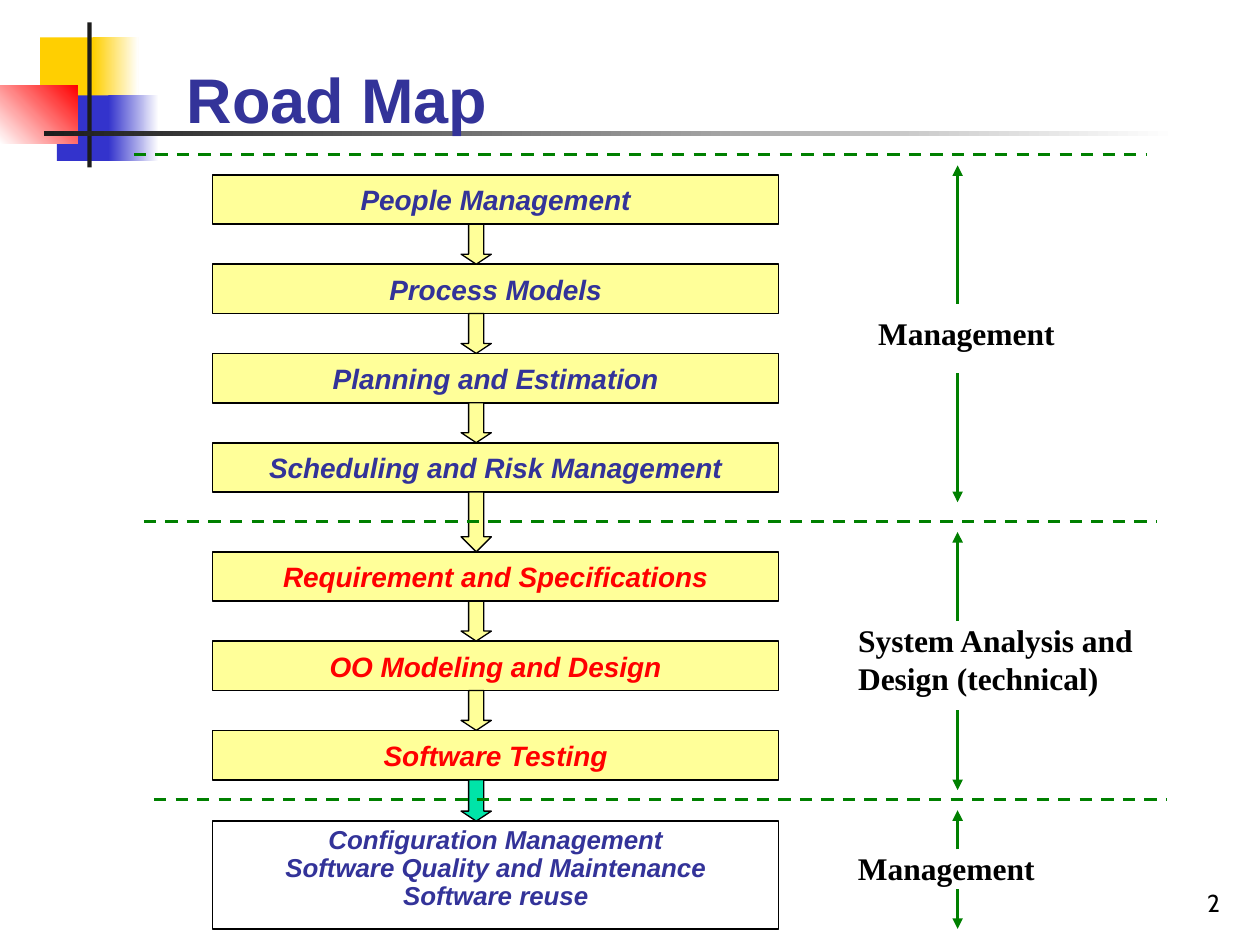
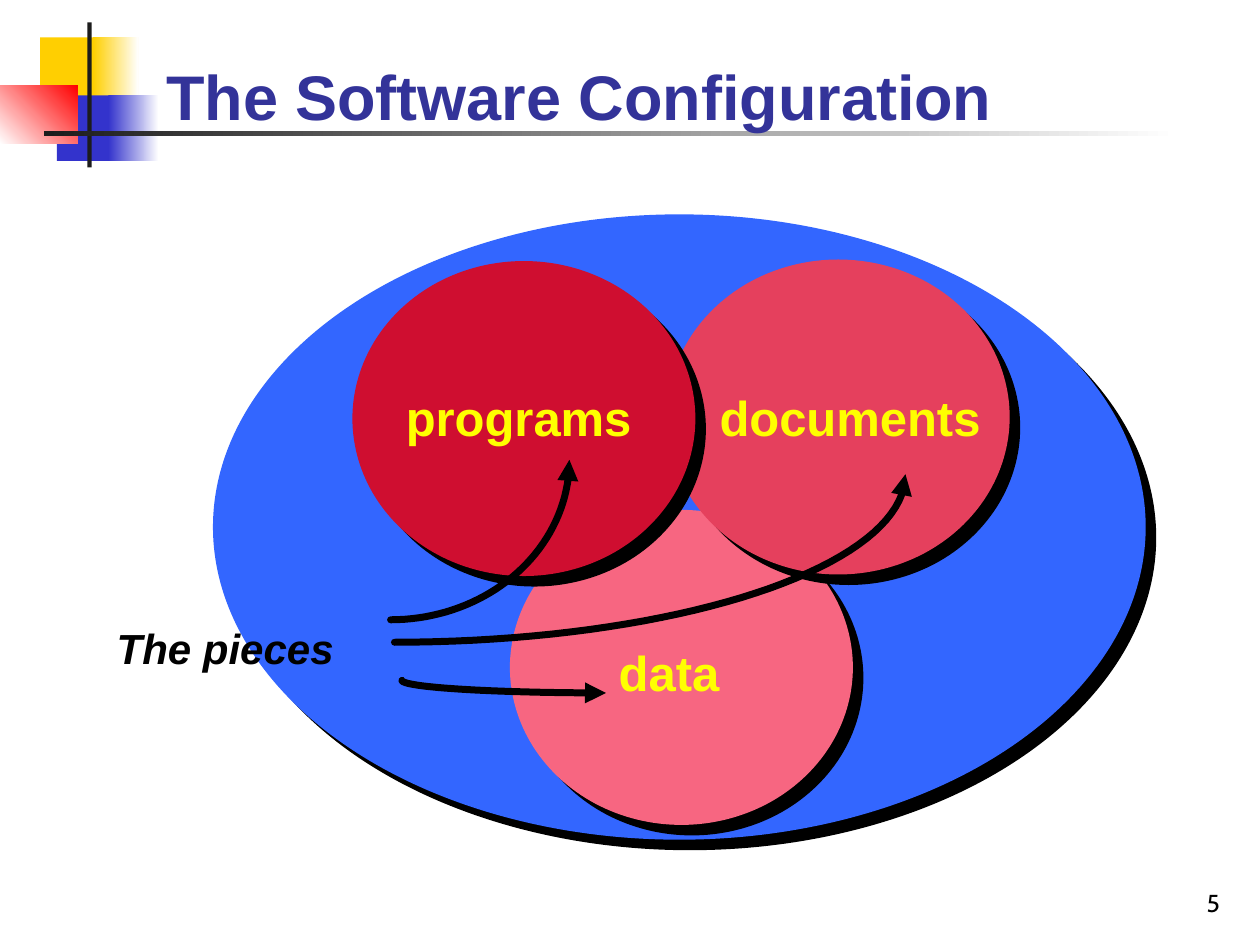
from math import cos, radians, sin

from lxml.etree import SubElement
from pptx import Presentation
from pptx.dml.color import RGBColor
from pptx.enum.dml import MSO_LINE
from pptx.enum.shapes import MSO_CONNECTOR as CONN, MSO_SHAPE as SHAPE
from pptx.enum.text import MSO_ANCHOR as ANCHOR, MSO_AUTO_SIZE as AUTO, PP_ALIGN as ALIGN
from pptx.oxml.ns import qn
from pptx.util import Pt

WHITE = RGBColor(0xFF, 0xFF, 0xFF)
BLACK = RGBColor(0, 0, 0)
CHARCOAL = RGBColor(0x1C, 0x1C, 0x1C)
GOLD = RGBColor(0xFF, 0xCF, 0x01)
BLUE = RGBColor(0x33, 0x33, 0xCC)
RED = RGBColor(0xFF, 0, 0)
NAVY = RGBColor(0x33, 0x33, 0x99)
CREAM = RGBColor(0xFF, 0xFF, 0x99)
MINT = RGBColor(0, 0xE4, 0xA8)
GREEN = RGBColor(0, 0x80, 0)
YELLOW = RGBColor(0xFF, 0xFF, 0)
SKY = RGBColor(0x33, 0x66, 0xFF)
PINK = RGBColor(0xF7, 0x66, 0x81)
ROSE = RGBColor(0xE5, 0x40, 0x5D)
CRIMSON = RGBColor(0xCF, 0x0E, 0x30)

TITLE = dict(name="Arial", size=Pt(36), bold=True, color=NAVY)
NUMBER = dict(name="Cabin", size=Pt(14), color=BLACK)
STEP = dict(name="Arial", size=Pt(16), bold=True, italic=True, color=NAVY)
TECH_STEP = {**STEP, "color": RED}
CLOSING = {**STEP, "size": Pt(14.8)}
PHASE = dict(name="Times New Roman", size=Pt(18), bold=True, color=BLACK)
PART = dict(name="Arial", size=Pt(28), bold=True, color=YELLOW)
PIECES = dict(name="Arial", size=Pt(24), bold=True, italic=True, color=BLACK)

BOX_LEFT, BOX_W, BOX_H, BOX_PITCH = 121.5, 323.5, 28.2, 51
ARROW_LEFT, ARROW_W = 263.5, 17.3
PHASE_X = 547.2


def write(shape, lines, fmt, align=ALIGN.LEFT, anchor=ANCHOR.TOP, wrap=True, inset=None, spacing=None):
    tf = shape.text_frame
    settings = dict(word_wrap=wrap, vertical_anchor=anchor, auto_size=AUTO.NONE)
    if inset is not None:
        settings.update({f"margin_{side}": inset for side in ("left", "top", "right", "bottom")})
    for key, value in settings.items():
        setattr(tf, key, value)
    for i, line in enumerate(lines):
        p = tf.add_paragraph() if i else tf.paragraphs[0]
        p.alignment = align
        if spacing:
            p.line_spacing = spacing
        r = p.add_run()
        r.text = line
        for key, value in fmt.items():
            if key == "color":
                r.font.color.rgb = value
            else:
                setattr(r.font, key, value)


def add_text(s, x, y, w, h, text, fmt, **layout):
    write(s.shapes.add_textbox(Pt(x), Pt(y), Pt(w), Pt(h)), [text], fmt, **layout)


def set_line(line, color, width):
    line.color.rgb = color
    line.width = Pt(width)


def add_block(s, kind, x, y, w, h, fill=None, outline=None, fade_to=None, angle=0):
    sp = s.shapes.add_shape(kind, Pt(x), Pt(y), Pt(w), Pt(h))
    if fade_to is not None:
        sp.fill.gradient()
        sp.fill.gradient_angle = angle
        for stop, color in zip(sp.fill.gradient_stops, (fill, fade_to)):
            stop.color.rgb = color
    elif fill is not None:
        sp.fill.solid()
        sp.fill.fore_color.rgb = fill
    else:
        sp.fill.background()
    if outline:
        set_line(sp.line, BLACK, outline)
    else:
        sp.line.fill.background()
    sp.shadow.inherit = False
    return sp


def add_arrowhead(sp):
    SubElement(sp.line._get_or_add_ln(), qn("a:tailEnd"), type="triangle")


def add_line(s, x1, y1, x2, y2, width, arrow=False):
    c = s.shapes.add_connector(CONN.STRAIGHT, Pt(x1), Pt(y1), Pt(x2), Pt(y2))
    set_line(c.line, GREEN, width)
    if arrow:
        add_arrowhead(c)
    else:
        c.line.dash_style = MSO_LINE.DASH
    SubElement(c._element.spPr, qn("a:effectLst"))


def add_ellipse(s, x, y, w, h, fill):
    sp = add_block(s, SHAPE.OVAL, x, y, w, h, fill)
    effects = sp._element.spPr.find(qn("a:effectLst"))
    shadow = SubElement(effects, qn("a:outerShdw"), blurRad="0", dist=str(Pt(8.5)), dir="2700000",
                        algn="ctr", rotWithShape="0")
    SubElement(shadow, qn("a:srgbClr"), val=str(BLACK))


def add_curved_arrow(s, cx, cy, rx, ry, start, end, steps=40):
    angles = [radians(start + (end - start) * i / steps) for i in range(steps + 1)]
    points = [(Pt(cx + rx * cos(a)), Pt(cy + ry * sin(a))) for a in angles]
    builder = s.shapes.build_freeform(*points[0])
    builder.add_line_segments(points[1:], close=False)
    sp = builder.convert_to_shape()
    sp.fill.background()
    set_line(sp.line, BLACK, 4)
    sp.line._get_or_add_ln().set("cap", "rnd")
    SubElement(sp.line._get_or_add_ln(), qn("a:round"))
    add_arrowhead(sp)
    sp.shadow.inherit = False


def decorate_master(prs, s):
    motif = [
        (23, 21.3, 34.5, 37.5, GOLD),
        (53.3, 21.3, 25.9, 37.5, GOLD, None, WHITE),
        (32.5, 54.5, 33, 37.5, BLUE),
        (62, 54.5, 28.8, 37.5, BLUE, None, WHITE),
        (0, 48.7, 44.3, 33.5, WHITE, None, RED, 45),
        (49.9, 12.8, 2.5, 82.8, CHARCOAL),
        (25.2, 75, 648, 2.5, CHARCOAL, None, WHITE),
    ]
    tree = prs.slide_master.shapes._spTree
    for i, block in enumerate(motif):
        sp = add_block(s, SHAPE.RECTANGLE, *block)
        sp._element.nvSpPr.cNvPr.set("id", str(100 + i))
        tree.insert(2 + i, sp._element)


def add_heading(s, title, x, y, w, h, number):
    sp = s.shapes.title
    for key, value in dict(left=x, top=y, width=w, height=h).items():
        setattr(sp, key, Pt(value))
    write(sp, [title], TITLE, anchor=ANCHOR.MIDDLE)
    add_text(s, 554.4, 491.8, 149.8, 36, number, NUMBER, align=ALIGN.RIGHT, anchor=ANCHOR.BOTTOM)


def add_step(s, y, h, fill, lines, fmt, **layout):
    sp = add_block(s, SHAPE.RECTANGLE, BOX_LEFT, y, BOX_W, h, fill, 1)
    write(sp, lines, fmt, align=ALIGN.CENTER, **layout)


def add_down_arrow(s, top, bottom, fill):
    sp = add_block(s, SHAPE.DOWN_ARROW, ARROW_LEFT, top, ARROW_W, bottom - top, fill, 0.75)
    sp.adjustments[0] = 0.5
    sp.adjustments[1] = 0.5 if bottom - top > 30 else 0.33


def build_road_map(s):
    add_heading(s, "Road Map", 99.4, 31.7, 419.8, 49, "2")
    groups = [
        (100, STEP, ["People Management", "Process Models", "Planning and Estimation",
                     "Scheduling and Risk Management"]),
        (315.4, TECH_STEP, ["Requirement and Specifications", "OO Modeling and Design",
                            "Software Testing"]),
    ]
    tops = []
    for first_top, fmt, names in groups:
        for i, name in enumerate(names):
            tops.append(first_top + i * BOX_PITCH)
            add_step(s, tops[-1], BOX_H, CREAM, [name], fmt, anchor=ANCHOR.MIDDLE)
    closing_top = 469.2
    add_step(s, closing_top, 61.8, None,
             ["Configuration Management", "Software Quality and Maintenance", "Software reuse"],
             CLOSING, spacing=0.9)
    for top, following in zip(tops, tops[1:] + [closing_top]):
        add_down_arrow(s, top + BOX_H, following, MINT if following == closing_top else CREAM)
    for i, y in enumerate((88.5, 298.2, 457)):
        x = 76.5 + 5.75 * i
        add_line(s, x, y, x + 578.5, y, 1.75)
    phases = [
        ("Management", 501.8, 179.3, 124.5, 21.6, (173.5, 94.5), (213.2, 287)),
        ("System Analysis and Design (technical)", 490.3, 355, 181.4, 43.2, (355, 304), (406, 451.5)),
        ("Management", 490.3, 485.3, 124.5, 21.6, (485.3, 463), (508.3, 530.8)),
    ]
    for text, x, y, w, h, *spans in phases:
        add_text(s, x, y, w, h, text, PHASE, inset=0)
        for start, end in spans:
            add_line(s, PHASE_X, start, PHASE_X, end, 2, arrow=True)


def build_configuration(s):
    add_heading(s, "The Software Configuration", 87.8, 20.2, 583.9, 68.4, "5")
    for ellipse in [
        (121.7, 122.5, 533, 357.3, SKY),
        (291.4, 291.4, 196, 180, PINK),
        (381, 148.3, 196, 180, ROSE),
        (201.4, 149.2, 196, 180, CRIMSON),
    ]:
        add_ellipse(s, *ellipse)
    for text, x, y, w, h, fmt in [
        ("programs", 224.8, 217.8, 143.3, 40.3, PART),
        ("documents", 404.1, 217.8, 163.4, 40.3, PART),
        ("data", 346.5, 363.6, 72, 40.3, PART),
        ("The pieces", 59.6, 352.3, 138.2, 36, PIECES),
    ]:
        add_text(s, x, y, w, h, text, fmt, wrap=False)
    for arc in [
        (346.3, 388.8, 116.6, 7.2, 180, 90),
        (225.4, 271, 292, 96, 90, 0),
        (223.2, 262.8, 102.2, 91.4, 90, 0),
    ]:
        add_curved_arrow(s, *arc)


def main():
    prs = Presentation()
    prs.slide_width, prs.slide_height = Pt(720), Pt(540)
    road_map, configuration = [prs.slides.add_slide(prs.slide_layouts[5]) for _ in range(2)]
    decorate_master(prs, road_map)
    build_road_map(road_map)
    build_configuration(configuration)
    prs.save("out.pptx")


if __name__ == "__main__":
    main()
